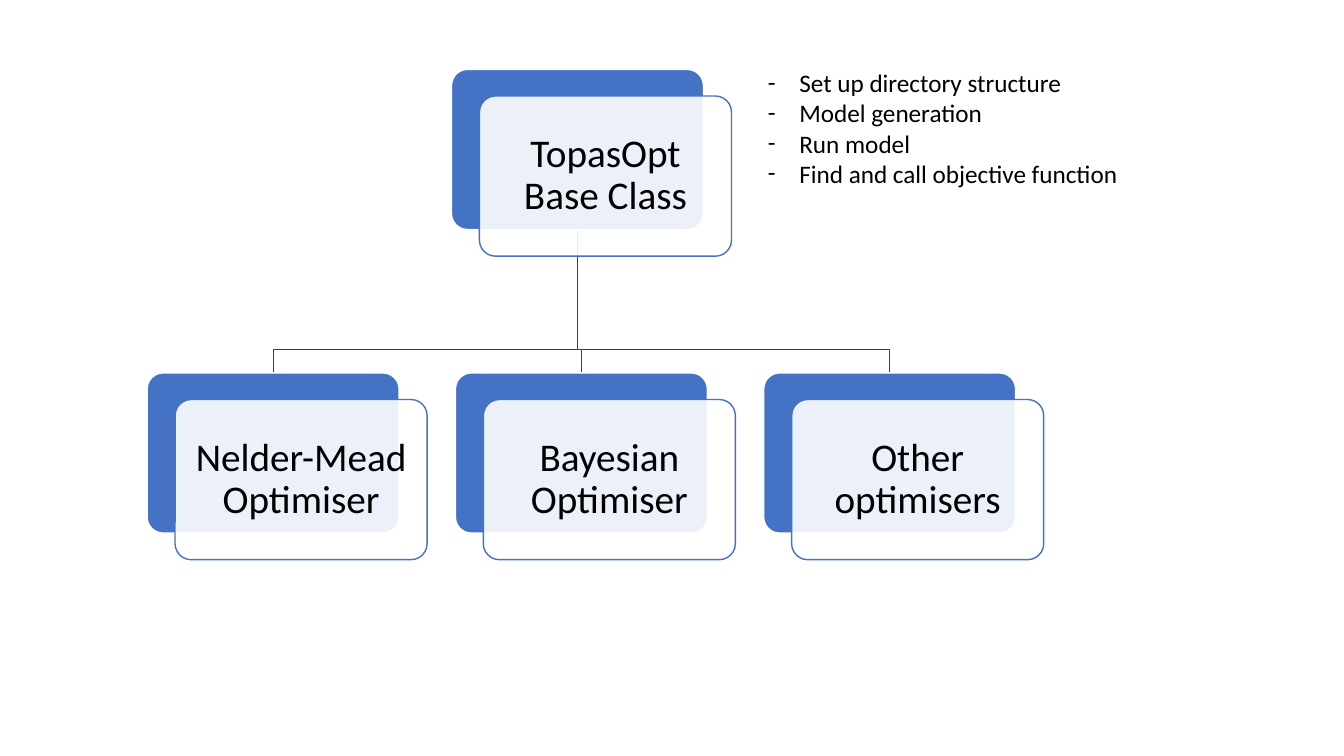
import pptx
import pptx.util
import pptx.dml.color
import pptx.enum.shapes
import pptx.enum.text
import pptx.oxml
import pptx.oxml.ns
import lxml.etree

Pt = pptx.util.Pt
CARD_W, CARD_H = 180, 114.4
SHIFT_X, SHIFT_Y = 20, 19
ROOT_X, ROOT_Y = 322.5, 49.6
CHILD_X, CHILD_Y, CHILD_STEP = 105.1, 266.4, 220.2
BRANCH_Y = 249.8


def colour(hex_code):
    """Turn a hex string into a colour."""
    return pptx.dml.color.RGBColor.from_string(hex_code)


def add_card(left, top, fill, outline):
    """Add one rounded card with a solid fill and a thin outline."""
    card = slide.shapes.add_shape(
        pptx.enum.shapes.MSO_SHAPE.ROUNDED_RECTANGLE,
        Pt(left), Pt(top), Pt(CARD_W), Pt(CARD_H))
    card.adjustments[0] = 0.1
    card.shadow.inherit = False
    card.fill.solid()
    card.fill.fore_color.rgb = colour(fill)
    card.line.color.rgb = colour(outline)
    card.line.width = Pt(1)
    return card


deck = pptx.Presentation()
deck.slide_width, deck.slide_height = Pt(960), Pt(540)
slide = deck.slides.add_slide(deck.slide_layouts[6])

optimisers = ["Nelder-Mead Optimiser", "Bayesian Optimiser", "Other optimisers"]
classes = [("TopasOpt Base Class", ROOT_X, ROOT_Y)]
for i, optimiser in enumerate(optimisers):
    classes.append((optimiser, CHILD_X + i * CHILD_STEP, CHILD_Y))

# Branches from the base class to each optimiser
root_mid = ROOT_X + CARD_W / 2
for _, left, top in reversed(classes[1:]):
    child_mid = left + CARD_W / 2
    route = slide.shapes.build_freeform(Pt(root_mid), Pt(ROOT_Y + CARD_H))
    route.add_line_segments(
        [(Pt(root_mid), Pt(BRANCH_Y)), (Pt(child_mid), Pt(BRANCH_Y)),
         (Pt(child_mid), Pt(top))], close=False)
    branch = route.convert_to_shape()
    branch.shadow.inherit = False
    branch.fill.background()
    branch.line.color.rgb = colour("404040")
    branch.line.width = Pt(0.5)

# Class cards: a blue back and a translucent label in front
for name, left, top in classes:
    add_card(left, top, "4472C4", "FFFFFF")
    label = add_card(left + SHIFT_X, top + SHIFT_Y, "FFFFFF", "4472C4")
    white = label.fill._xPr.find(".//" + pptx.oxml.ns.qn("a:srgbClr"))
    lxml.etree.SubElement(white, pptx.oxml.ns.qn("a:alpha"), val="90000")
    frame = label.text_frame
    frame.word_wrap = True
    frame.vertical_anchor = pptx.enum.text.MSO_ANCHOR.MIDDLE
    frame.margin_left = frame.margin_right = Pt(8.6)
    frame.margin_top = frame.margin_bottom = Pt(8.6)
    paragraph = frame.paragraphs[0]
    paragraph.alignment = pptx.enum.text.PP_ALIGN.CENTER
    paragraph.line_spacing = 0.9
    run = paragraph.add_run()
    run.text = name
    run.font.name, run.font.size = "Calibri", Pt(28)
    run.font.color.rgb = colour("000000")

# Duties of the base class
duties = slide.shapes.add_textbox(Pt(541.4), Pt(44.6), Pt(280.8), Pt(116.6)).text_frame
duties.word_wrap = True
for i, duty in enumerate(["Set up directory structure", "Model generation",
                          "Run model", "Find and call objective function"]):
    paragraph = duties.paragraphs[0] if i == 0 else duties.add_paragraph()
    properties = paragraph._p.get_or_add_pPr()
    properties.set("marL", str(Pt(22.5)))
    properties.set("indent", str(-Pt(22.5)))
    lxml.etree.SubElement(properties, pptx.oxml.ns.qn("a:buFont"), typeface="Calibri")
    lxml.etree.SubElement(properties, pptx.oxml.ns.qn("a:buChar"), char="-")
    run = paragraph.add_run()
    run.text = duty
    run.font.name, run.font.size = "Calibri", Pt(18)
    run.font.color.rgb = colour("000000")

deck.save("out.pptx")
